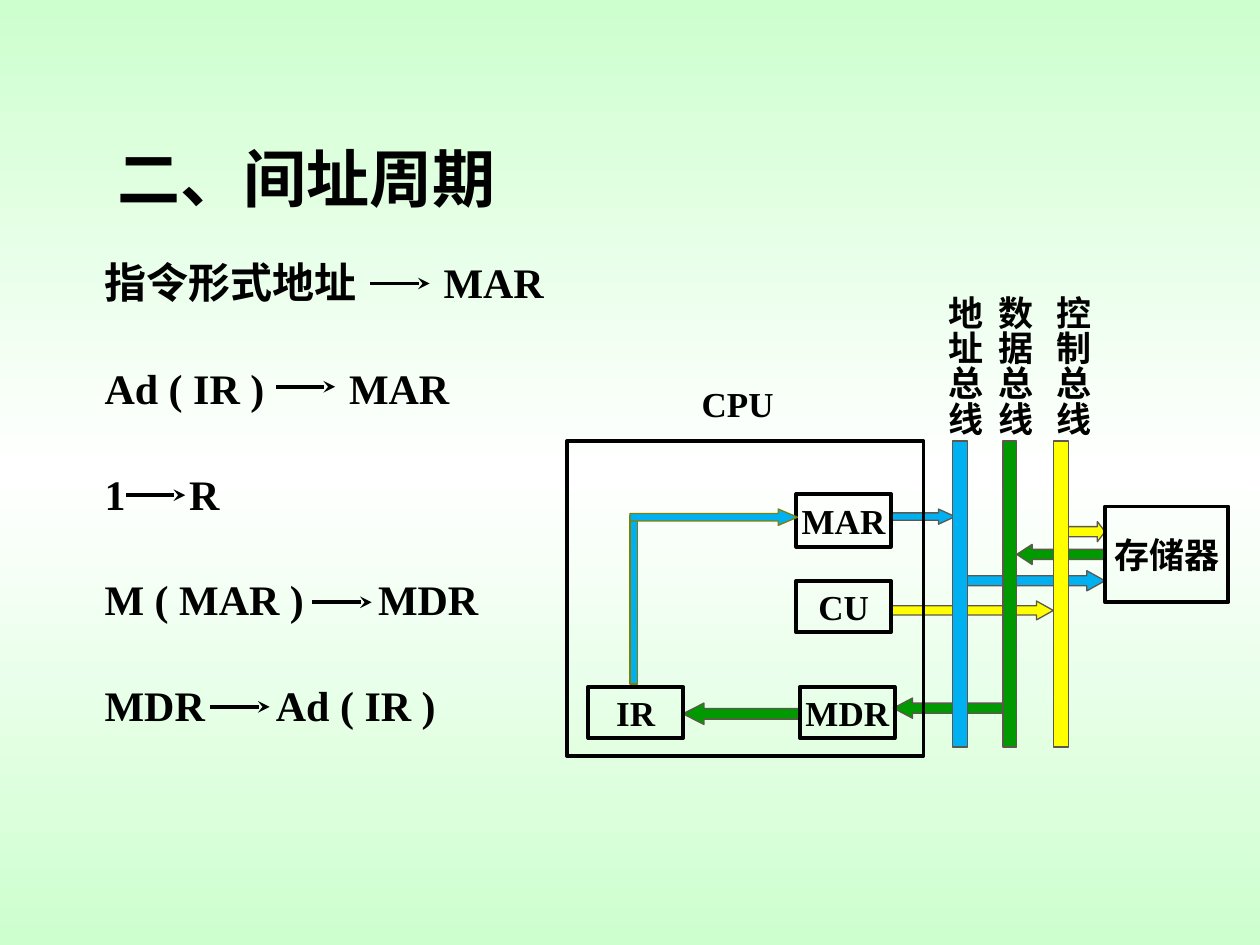
from typing import NamedTuple

from lxml.etree import SubElement
from pptx import Presentation
from pptx.dml.color import RGBColor
from pptx.enum.shapes import MSO_CONNECTOR, MSO_SHAPE
from pptx.enum.text import MSO_ANCHOR, PP_ALIGN
from pptx.oxml.ns import qn
from pptx.util import Inches, Pt

BLACK, GREY, OLIVE = "000000", "5E574E", "808000"
BLUE, GREEN, YELLOW = "00B0F0", "009900", "FFFF00"
MINT, WHITE = "CDFFCE", "FFFFFF"
FONT = "Times New Roman"


class Step(NamedTuple):
    source: str
    target: str
    tab: float
    arrow_x: float
    arrow_y: float


class Arrow(NamedTuple):
    x: float
    y: float
    w: float
    h: float
    color: str
    thickness: float
    head: float
    rotation: int = 0
    outline: str = GREY


class Box(NamedTuple):
    x: float
    y: float
    w: float
    h: float
    text: str = ""


class Bus(NamedTuple):
    x: float
    w: float
    color: str
    label_x: float
    label: str


STEPS = [
    Step("指令形式地址", "MAR", 2.69, 2.94, 2.25),
    Step("Ad ( IR )", "MAR", 1.94, 2.19, 3.07),
    Step("1", "R", 0.67, 1.0, 3.93),
    Step("M ( MAR )", "MDR", 2.17, 2.48, 4.78),
    Step("MDR", "Ad ( IR )", 1.36, 1.67, 5.61),
]
BUS_ARROWS = [
    Arrow(7.09, 5.54, 0.87, 0.16, GREEN, 0.5, 0.95, 180),
    Arrow(5.42, 5.58, 0.92, 0.17, GREEN, 0.5, 0.98, 180),
    Arrow(7.08, 4.77, 1.28, 0.15, YELLOW, 0.49, 0.89),
    Arrow(7.08, 4.04, 0.5, 0.12, BLUE, 0.49, 1.09),
    Arrow(8.07, 4.32, 0.69, 0.16, GREEN, 0.5, 0.76, 180),
    Arrow(7.67, 4.53, 1.1, 0.16, BLUE, 0.5, 0.9),
    Arrow(8.42, 4.14, 0.35, 0.16, YELLOW, 0.5, 0.38),
]
IR_TO_MAR = Arrow(5, 4.04, 1.33, 0.13, BLUE, 0.46, 1.18, 0, OLIVE)
BOXES = [
    Box(4.5, 3.5, 2.83, 2.5),
    Box(6.35, 5.45, 0.75, 0.41, "MDR"),
    Box(6.32, 4.61, 0.75, 0.41, "CU"),
    Box(6.32, 3.92, 0.75, 0.42, "MAR"),
    Box(4.67, 5.45, 0.75, 0.41, "IR"),
    Box(8.77, 4.02, 0.98, 0.76, "存储器"),
]
BUSES = [
    Bus(7.56, 0.12, BLUE, 7.34, "地址总线"),
    Bus(7.96, 0.11, GREEN, 7.74, "数据总线"),
    Bus(8.36, 0.12, YELLOW, 8.2, "控制总线"),
]


def rgb(value: str) -> RGBColor:
    return RGBColor.from_string(value)


def write(shape, text: str, size: int) -> None:
    tf = shape.text_frame
    tf.text = text
    for r in tf.paragraphs[0].runs:
        r.font.size, r.font.bold, r.font.name = Pt(size), True, FONT
        r.font.color.rgb = rgb(BLACK)


def add_text(s, x, y, w, h, text, size, margins=(0, 0), anchor=MSO_ANCHOR.MIDDLE):
    sp = s.shapes.add_textbox(Inches(x), Inches(y), Inches(w), Inches(h))
    tf = sp.text_frame
    tf.word_wrap, tf.vertical_anchor = False, anchor
    tf.margin_left = tf.margin_right = Inches(margins[0])
    tf.margin_top = tf.margin_bottom = Inches(margins[1])
    write(sp, text, size)
    return sp


def add_block(s, kind, x, y, w, h, fill, outline, width=0.75):
    sp = s.shapes.add_shape(kind, Inches(x), Inches(y), Inches(w), Inches(h))
    sp.shadow.inherit = False
    if fill:
        sp.fill.solid()
        sp.fill.fore_color.rgb = rgb(fill)
    else:
        sp.fill.background()
    sp.line.color.rgb, sp.line.width = rgb(outline), Pt(width)
    return sp


def add_arrow(s, a: Arrow) -> None:
    sp = add_block(s, MSO_SHAPE.RIGHT_ARROW, a.x, a.y, a.w, a.h, a.color, a.outline)
    sp.adjustments[0], sp.adjustments[1] = a.thickness, a.head
    sp.rotation = a.rotation


def add_box(s, b: Box) -> None:
    sp = add_block(s, MSO_SHAPE.RECTANGLE, b.x, b.y, b.w, b.h, None, BLACK, 2.25)
    if b.text:
        write(sp, b.text, 20)
        sp.text_frame.word_wrap = False
        sp.text_frame.vertical_anchor = MSO_ANCHOR.MIDDLE
        sp.text_frame.paragraphs[0].alignment = PP_ALIGN.CENTER


def add_bus(s, b: Bus) -> None:
    add_block(s, MSO_SHAPE.RECTANGLE, b.x, 3.5, b.w, 2.43, b.color, GREY)
    sp = add_text(s, b.label_x, 2.25, 0.53, 1.22, b.label, 20, (0.05, 0.1), MSO_ANCHOR.TOP)
    sp.element.txBody.find(qn("a:bodyPr")).set("vert", "eaVert")


def add_step(s, y: float, step: Step) -> None:
    sp = add_text(s, 0.83, y, 4.72, 0.47, f"{step.source}\t{step.target}", 24)
    sp.text_frame.word_wrap = True
    tabs = SubElement(sp.text_frame.paragraphs[0]._p.get_or_add_pPr(), qn("a:tabLst"))
    SubElement(tabs, qn("a:tab"), pos=str(Inches(step.tab)), algn="l")
    ends = (step.arrow_x, step.arrow_y, step.arrow_x + 0.47, step.arrow_y)
    line = s.shapes.add_connector(MSO_CONNECTOR.STRAIGHT, *map(Inches, ends))
    line.line.color.rgb, line.line.width = rgb(BLACK), Pt(2.25)
    props = line.element.spPr
    SubElement(props.find(qn("a:ln")), qn("a:tailEnd"), type="stealth")
    SubElement(props, qn("a:effectLst"))


def set_background(s) -> None:
    fill = s.background.fill
    fill.gradient()
    fill.gradient_angle = 90
    stops = next(s.element.iter(qn("a:gsLst")))
    stops.clear()
    for percent, color in ((0, MINT), (50, WHITE), (100, MINT)):
        stop = SubElement(stops, qn("a:gs"), pos=str(percent * 1000))
        SubElement(stop, qn("a:srgbClr"), val=color)


def main() -> None:
    """Build the slide on the indirect addressing cycle."""
    prs = Presentation()
    prs.slide_width, prs.slide_height = Inches(10), Inches(7.5)
    s = prs.slides.add_slide(prs.slide_layouts[6])
    set_background(s)
    add_text(s, 0.93, 1.17, 3.54, 0.47, "二、间址周期", 36)
    for i, step in enumerate(STEPS):
        add_step(s, 2 + 0.84 * i, step)
    for arrow in BUS_ARROWS:
        add_arrow(s, arrow)
    for box in BOXES:
        add_box(s, box)
    for bus in BUSES:
        add_bus(s, bus)
    add_text(s, 5.47, 2.99, 0.77, 0.44, "CPU", 20, (0.1, 0.05), MSO_ANCHOR.TOP)
    add_block(s, MSO_SHAPE.RECTANGLE, 5, 4.09, 0.06, 1.34, BLUE, OLIVE)
    add_arrow(s, IR_TO_MAR)
    prs.save("out.pptx")


if __name__ == "__main__":
    main()
